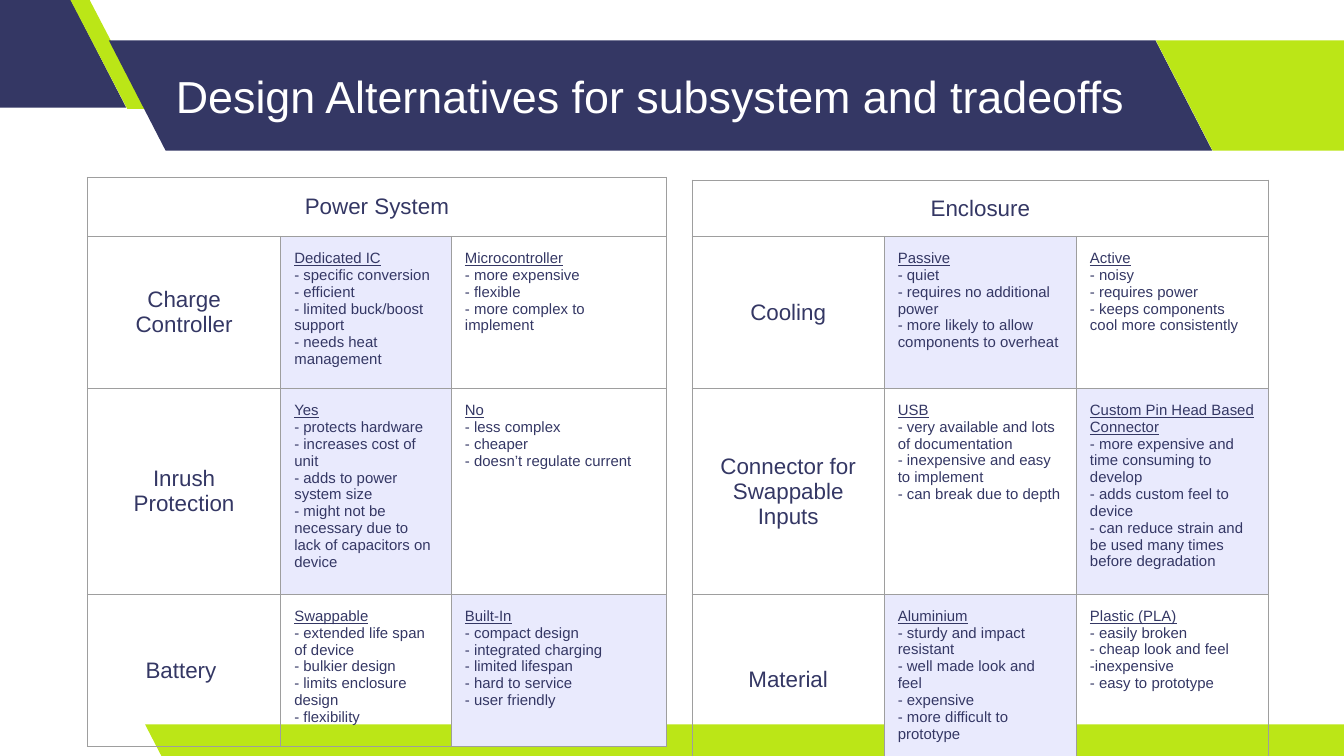
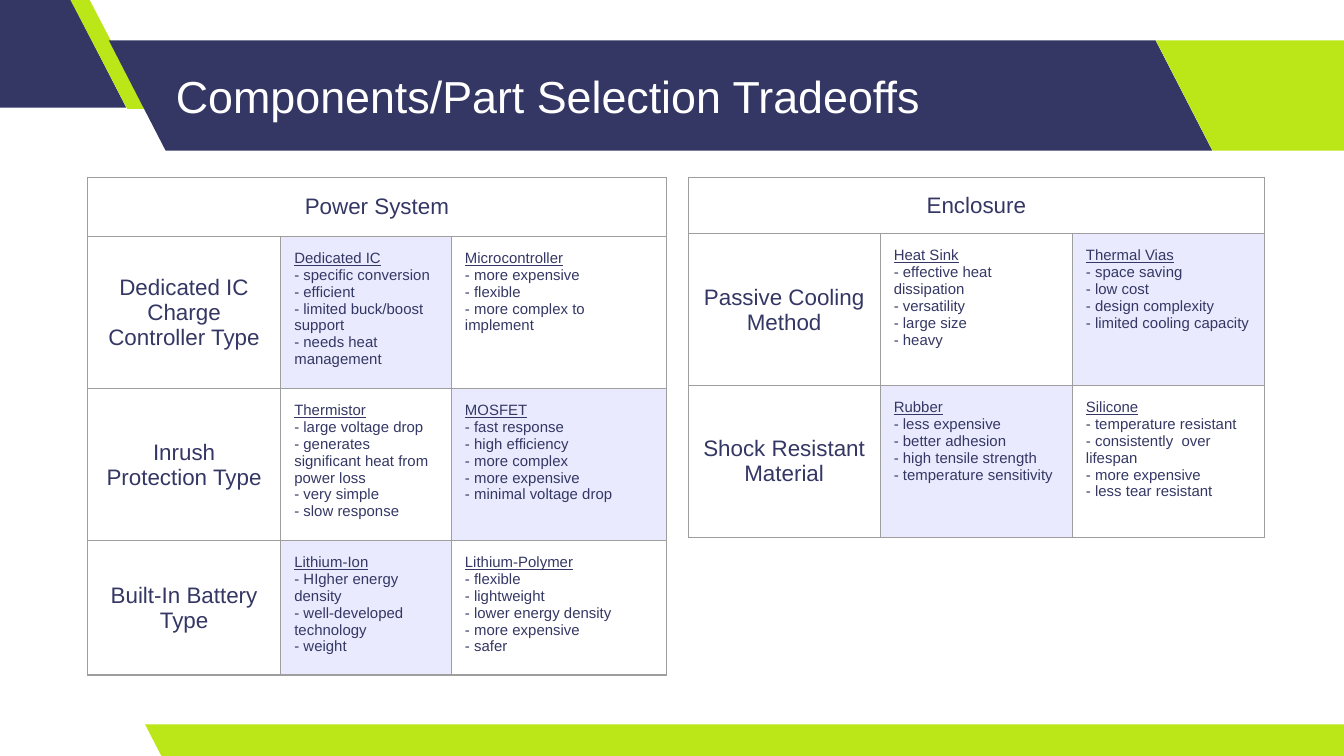
"""Build two slides that compare design options and part choices in tables."""
from lxml import etree
from pptx import Presentation
from pptx import util as u
from pptx.dml.color import RGBColor
from pptx.enum import shapes, text
from pptx.oxml.ns import qn

NAVY, LIME, WHITE, LILAC, GRAY = "343764", "BBE617", "FFFFFF", "E9EAFD", "9E9E9E"
FONT = "Arial"

BANDS = [
    ((-0.99, -0.02, 1.93, 0.82), 0.515, NAVY),
    ((0.52, -0.01, 0.57, 0.82), 0.75, LIME),
    ((0.81, 0.3, 8.21, 0.82), 0.515, NAVY),
    ((8.6, 0.3, 1.92, 0.82), 0.515, LIME),
    ((1.08, 5.39, 9.15, 0.25), 0.515, LIME),
]
TITLE_BOX = (1.21, 0.3, 7.35, 0.82)

POWER_COLS, POWER_ROWS = [1.44, 1.27, 1.6], [0.44, 1.09, 0.42, 0.42]
ENCLOSURE_COLS = [1.43] * 3

CHARGE_OPTIONS = [
    ["Dedicated IC", "- specific conversion", "- efficient",
     "- limited buck/boost support", "- needs heat management"],
    ["Microcontroller", "- more expensive", "- flexible",
     "- more complex to implement"],
]

SLIDES = [
    ("Design Alternatives for subsystem and tradeoffs", [
        {"name": "Power System", "at": (0.65, 1.32),
         "cols": POWER_COLS, "rows": POWER_ROWS, "body": [
             ("Charge Controller", 1, CHARGE_OPTIONS),
             ("Inrush Protection", 1, [
                 ["Yes", "- protects hardware", "- increases cost of unit",
                  "- adds to power system size",
                  "- might not be necessary due to lack of capacitors on device"],
                 ["No", "- less complex", "- cheaper",
                  "- doesn’t regulate current"]]),
             ("Battery ", 2, [
                 ["Swappable", "- extended life span of device", "- bulkier design",
                  "- limits enclosure design", "- flexibility"],
                 ["Built-In", "- compact design", "- integrated charging",
                  "- limited lifespan", "- hard to service", "- user friendly"]]),
         ]},
        {"name": "Enclosure", "at": (5.15, 1.34),
         "cols": ENCLOSURE_COLS, "rows": [0.42, 1.13, 1.27, 1], "body": [
             ("Cooling", 1, [
                 ["Passive", "- quiet", "- requires no additional power",
                  "- more likely to allow components to overheat"],
                 ["Active", "- noisy", "- requires power",
                  "- keeps components cool more consistently"]]),
             ("Connector for Swappable Inputs", 2, [
                 ["USB", "- very available and lots of documentation",
                  "- inexpensive and easy to implement",
                  "- can break due to depth"],
                 ["Custom Pin Head Based Connector",
                  "- more expensive and time consuming to develop",
                  "- adds custom feel to device",
                  "- can reduce strain and be used many times before degradation"]]),
             ("Material", 1, [
                 ["Aluminium", "- sturdy and impact resistant",
                  "- well made look and feel", "- expensive",
                  "- more difficult to prototype"],
                 ["Plastic (PLA)", "- easily broken", "- cheap look and feel",
                  "-inexpensive", "- easy to prototype"]]),
         ]},
    ]),
    ("Components/Part Selection Tradeoffs", [
        {"name": "Power System", "at": (0.65, 1.32),
         "cols": POWER_COLS, "rows": POWER_ROWS, "body": [
             ("Dedicated IC Charge Controller Type", 1, CHARGE_OPTIONS),
             ("Inrush Protection Type", 2, [
                 ["Thermistor", "- large voltage drop",
                  "- generates significant heat from power loss",
                  "- very simple", "- slow response"],
                 ["MOSFET", "- fast response", "- high efficiency",
                  "- more complex", "- more expensive", "- minimal voltage drop"]]),
             ("Built-In Battery Type", 1, [
                 ["Lithium-Ion", "- HIgher energy density",
                  "- well-developed technology", "- weight"],
                 ["Lithium-Polymer", "- flexible", "- lightweight",
                  "- lower energy density", "- more expensive", "- safer"]]),
         ]},
        {"name": "Enclosure", "at": (5.12, 1.32),
         "cols": ENCLOSURE_COLS, "rows": [0.42, 1.13, 1.13], "body": [
             ("Passive Cooling Method", 2, [
                 ["Heat Sink", "- effective heat dissipation", "- versatility",
                  "- large size", "- heavy"],
                 ["Thermal Vias", "- space saving", "- low cost",
                  "- design complexity", "- limited cooling capacity"]]),
             ("Shock Resistant Material", 1, [
                 ["Rubber", "- less expensive", "- better adhesion",
                  "- high tensile strength", "- temperature sensitivity"],
                 ["Silicone", "- temperature resistant",
                  "- consistently  over lifespan", "- more expensive",
                  "- less tear resistant"]]),
         ]},
    ]),
]


def rgb(value):
    return RGBColor.from_string(value)


def inches(values):
    return [u.Inches(v) for v in values]


def set_margins(box):
    box.margin_left = box.margin_right = u.Inches(0.1)
    box.margin_top = box.margin_bottom = u.Inches(0.1)


def style_text(tf, size, color, align=text.PP_ALIGN.LEFT):
    for p in tf.paragraphs:
        p.alignment = align
        for r in p.runs:
            r.font.name, r.font.size = FONT, u.Pt(size)
            r.font.color.rgb = rgb(color)
        etree.SubElement(p._p, qn("a:endParaRPr"), sz=str(size * 100))


def add_frame(s, title):
    for at, slant, color in BANDS:
        sp = s.shapes.add_shape(shapes.MSO_SHAPE.PARALLELOGRAM, *inches(at))
        sp.adjustments[0] = slant
        sp._element.spPr.find(qn("a:xfrm")).set("flipH", "1")
        sp.shadow.inherit = False
        sp.fill.solid()
        sp.fill.fore_color.rgb = rgb(color)
        sp.line.fill.background()
    tf = s.shapes.add_textbox(*inches(TITLE_BOX)).text_frame
    tf.word_wrap = True
    tf.vertical_anchor = text.MSO_ANCHOR.MIDDLE
    set_margins(tf)
    tf.text = title
    style_text(tf, 24, WHITE)


def add_borders(cell):
    tcPr = cell._tc.get_or_add_tcPr()
    for side in ("a:lnL", "a:lnR", "a:lnT", "a:lnB"):
        ln = etree.SubElement(tcPr, qn(side), w=str(u.Pt(0.75)))
        fill = etree.SubElement(ln, qn("a:solidFill"))
        etree.SubElement(fill, qn("a:srgbClr"), val=GRAY)


def fill_label(cell, label):
    cell.text_frame.text = label
    cell.vertical_anchor = text.MSO_ANCHOR.MIDDLE
    style_text(cell.text_frame, 12, NAVY, text.PP_ALIGN.CENTER)


def fill_option(cell, lines, chosen):
    tf = cell.text_frame
    tf.text = "\n".join(lines)
    style_text(tf, 8, NAVY)
    tf.paragraphs[0].runs[0].font.underline = True
    if chosen:
        cell.fill.solid()
        cell.fill.fore_color.rgb = rgb(LILAC)


def add_tradeoffs(s, name, at, cols, rows, body):
    size = sum(cols), sum(rows)
    tbl = s.shapes.add_table(len(rows), len(cols), *inches(at + size)).table
    tbl.first_row = tbl.horz_banding = False
    for column, width in zip(tbl.columns, cols):
        column.width = u.Inches(width)
    for row, height in zip(tbl.rows, rows):
        row.height = u.Inches(height)
    for cell in tbl.iter_cells():
        set_margins(cell)
        add_borders(cell)
        cell.fill.background()
    tbl.cell(0, 0).merge(tbl.cell(0, len(cols) - 1))
    fill_label(tbl.cell(0, 0), name)
    for i, (label, chosen, options) in enumerate(body, 1):
        fill_label(tbl.cell(i, 0), label)
        for j, lines in enumerate(options, 1):
            fill_option(tbl.cell(i, j), lines, j == chosen)


def main():
    prs = Presentation()
    prs.slide_width = u.Inches(10)
    prs.slide_height = prs.slide_width * 9 // 16
    for title, tables in SLIDES:
        s = prs.slides.add_slide(prs.slide_layouts[6])
        add_frame(s, title)
        for table in tables:
            add_tradeoffs(s, **table)
    prs.save("out.pptx")


if __name__ == "__main__":
    main()
